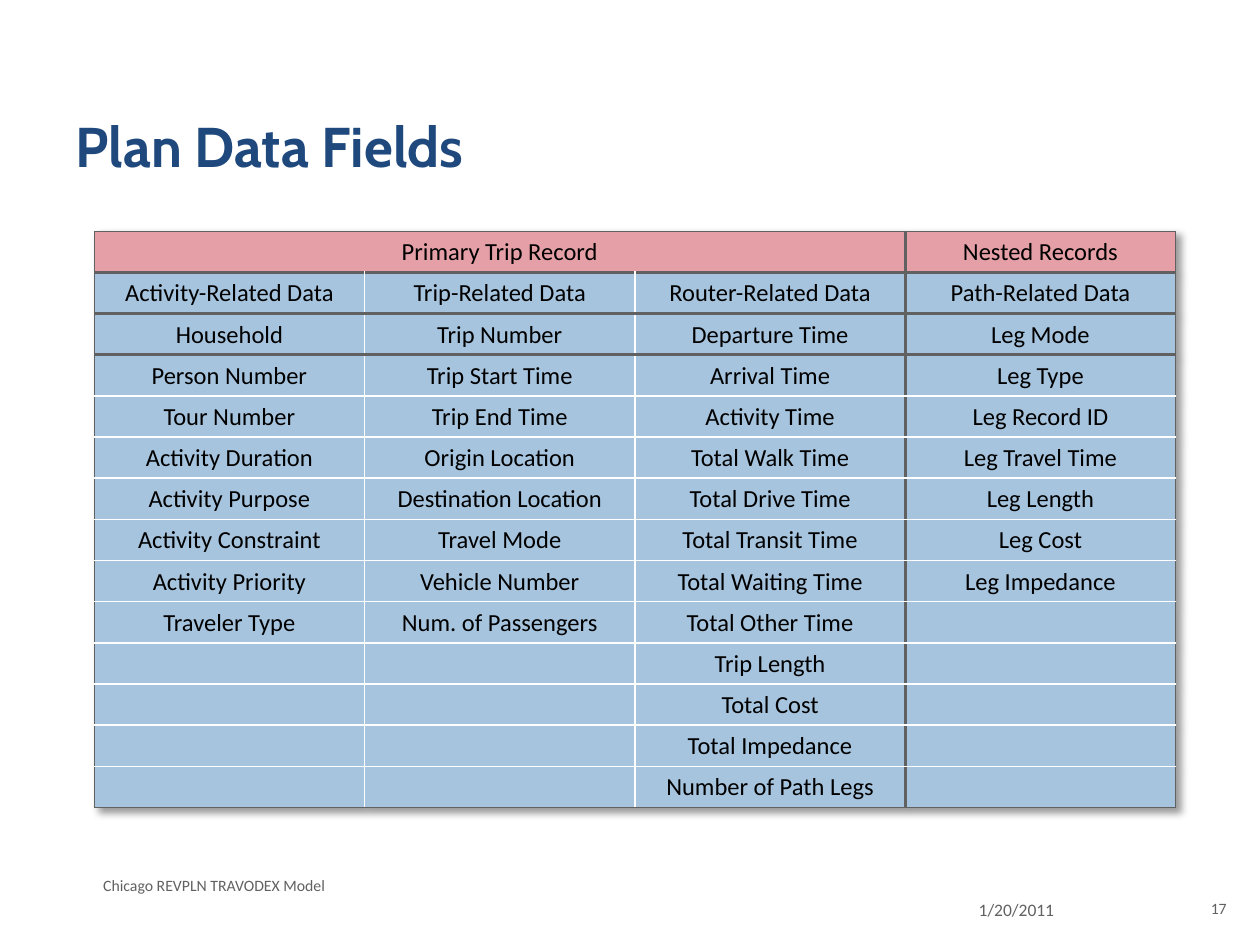
"""Build the plan data fields slide: title, four-column field table and footer."""
from itertools import zip_longest

from lxml import etree
from pptx import Presentation
from pptx.dml.color import RGBColor
from pptx.enum import text
from pptx.oxml import ns
from pptx.util import Cm, Pt

NAVY = RGBColor(0x1F, 0x49, 0x7D)
GREY = RGBColor(0x61, 0x61, 0x61)
WHITE = RGBColor(0xFF, 0xFF, 0xFF)
BLACK = RGBColor(0x00, 0x00, 0x00)
PINK = RGBColor(0xE5, 0x9F, 0xA6)
BLUE = RGBColor(0xA6, 0xC4, 0xDE)

THIN, THICK, INNER = (GREY, 0.5), (GREY, 2.25), (WHITE, 1)

COLUMNS = [
    ["Activity-Related Data", "Household", "Person Number", "Tour Number",
     "Activity Duration", "Activity Purpose", "Activity Constraint",
     "Activity Priority", "Traveler Type"],
    ["Trip-Related Data", "Trip Number", "Trip Start Time", "Trip End Time",
     "Origin Location", "Destination Location", "Travel Mode",
     "Vehicle Number", "Num. of Passengers"],
    ["Router-Related Data", "Departure Time", "Arrival Time", "Activity Time",
     "Total Walk Time", "Total Drive Time", "Total Transit Time",
     "Total Waiting Time", "Total Other Time", "Trip Length", "Total Cost",
     "Total Impedance", "Number of Path Legs"],
    ["Path-Related Data", "Leg Mode", "Leg Type", "Leg Record ID",
     "Leg Travel Time", "Leg Length", "Leg Cost", "Leg Impedance"],
]
ROWS = [("Primary Trip Record", "", "", "Nested Records"),
        *zip_longest(*COLUMNS, fillvalue="")]
COLUMN_EDGES = [THIN, INNER, INNER, THICK, THIN]
ROW_EDGES = [THIN] + [THICK] * 3 + [INNER] * (len(ROWS) - 4) + [THIN]


def write(para, words, align, style):
    para.alignment = align
    span = para.add_run()
    span.text = words
    color = style["color"]
    for name, value in style.items():
        if name != "color":
            setattr(span.font, name, value)
    span.font.color.rgb = color


def draw_border(cell, side, edge):
    color, width = edge
    line = etree.SubElement(cell._tc.get_or_add_tcPr(), ns.qn(f"a:ln{side}"), w=str(Pt(width)))
    fill = etree.SubElement(line, ns.qn("a:solidFill"))
    etree.SubElement(fill, ns.qn("a:srgbClr"), val=str(color))


deck = Presentation()
deck.slide_width, deck.slide_height = Cm(25.4), Cm(19.05)
page = deck.slides.add_slide(deck.slide_layouts[6])

LEFT, RIGHT = text.PP_ALIGN.LEFT, text.PP_ALIGN.RIGHT
TOP, BOTTOM = text.MSO_ANCHOR.TOP, text.MSO_ANCHOR.BOTTOM
title_style = {"name": "Cabin", "size": Pt(32), "bold": True, "color": NAVY}
small_style = {"name": "Calibri", "size": Pt(9), "color": GREY}
date_style = {**small_style, "size": Pt(10)}

for words, place, align, anchor, style in [
    ("Plan Data Fields", (1.27, 0.76, 22.86, 3.18), LEFT, BOTTOM, title_style),
    ("1/20/2011", (19.48, 18, 3.81, 0.84), LEFT, TOP, date_style),
    ("Chicago REVPLN TRAVODEX Model", (1.83, 17.53, 16.51, 0.64), LEFT, TOP, small_style),
    ("17", (23.91, 18, 1.07, 0.81), RIGHT, TOP, small_style),
]:
    box = page.shapes.add_textbox(*map(Cm, place))
    frame_format = {"word_wrap": True, "vertical_anchor": anchor,
                    "margin_bottom": Cm(0.34 if anchor == BOTTOM else 0.13)}
    for name, value in frame_format.items():
        setattr(box.text_frame, name, value)
    write(box.text_frame.paragraphs[0], words, align, style)

column_width, row_height = 5.45, 0.83
table = page.shapes.add_table(
    len(ROWS), len(COLUMNS), Cm(1.9), Cm(4.66),
    Cm(column_width * len(COLUMNS)), Cm(row_height * len(ROWS))).table
table.first_row = table.horz_banding = False
for column in table.columns:
    column.width = Cm(column_width)
for row in table.rows:
    row.height = Cm(row_height)
table.cell(0, 0).merge(table.cell(0, 2))

effects = etree.Element(ns.qn("a:effectLst"))
shadow = etree.SubElement(effects, ns.qn("a:outerShdw"), blurRad=str(Pt(4)),
                          dist=str(Pt(4)), dir="2700000", algn="tl", rotWithShape="0")
shadow_color = etree.SubElement(shadow, ns.qn("a:srgbClr"), val=str(BLACK))
etree.SubElement(shadow_color, ns.qn("a:alpha"), val="40000")
table._tbl.tblPr.insert(0, effects)

cell_style = {"name": "Calibri", "size": Pt(14), "color": BLACK}
cell_format = {"vertical_anchor": text.MSO_ANCHOR.MIDDLE, "margin_left": Cm(0.02),
               "margin_right": Cm(0.02), "margin_top": Cm(0.02), "margin_bottom": 0}
for r, row in enumerate(ROWS):
    for c, words in enumerate(row):
        cell = table.cell(r, c)
        for name, value in cell_format.items():
            setattr(cell, name, value)
        right = c + (cell.span_width if cell.is_merge_origin else 1)
        for side, edge in [("L", COLUMN_EDGES[c]), ("R", COLUMN_EDGES[right]),
                           ("T", ROW_EDGES[r]), ("B", ROW_EDGES[r + 1])]:
            draw_border(cell, side, edge)
        cell.fill.solid()
        cell.fill.fore_color.rgb = BLUE if r else PINK
        if words:
            write(cell.text_frame.paragraphs[0], words, text.PP_ALIGN.CENTER, cell_style)

deck.save("out.pptx")
